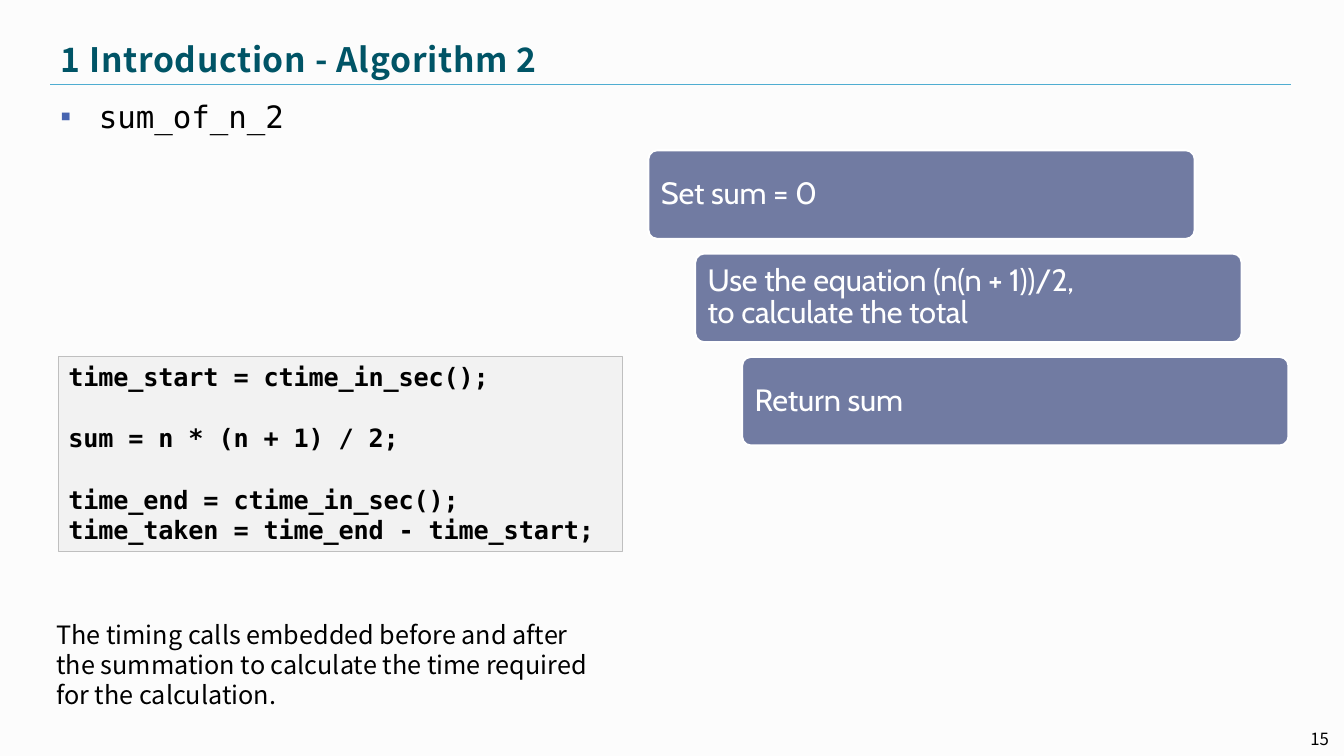
import pptx
import pptx.util
import pptx.dml.color
import pptx.enum.shapes
import pptx.enum.text
import lxml.etree

Inches, Pt = pptx.util.Inches, pptx.util.Pt
ALIGN = pptx.enum.text.PP_ALIGN
ANCHOR = pptx.enum.text.MSO_ANCHOR
SHAPE = pptx.enum.shapes.MSO_SHAPE
SANS, MONO = "Noto Sans CJK KR", "DejaVu Sans Mono"


def color(value):
    return pptx.dml.color.RGBColor.from_string(value)


def add_text(tf, text, *, size, font=SANS, fill="000000", bold=False, spacing=0,
             align=ALIGN.LEFT, before=0, line=None, anchor=ANCHOR.TOP, new=False):
    tf.word_wrap = True
    tf.auto_size = pptx.enum.text.MSO_AUTO_SIZE.NONE
    tf.vertical_anchor = anchor
    p = tf.add_paragraph() if new else tf.paragraphs[0]
    p.alignment = align
    p.space_before = Pt(before)
    if line:
        p.line_spacing = Pt(line)
    r = p.add_run()
    r.text = text
    r.font.name, r.font.size, r.font.bold = font, Pt(size), bold
    r.font.color.rgb = color(fill)
    rPr = r.font._element
    rPr.set("spc", str(round(spacing * 100)))
    ea = lxml.etree.SubElement(rPr, pptx.oxml.ns.qn("a:ea"))
    ea.set("typeface", font)
    return p


prs = pptx.Presentation()
prs.slide_width, prs.slide_height = Inches(13.33), Inches(7.5)
s = prs.slides.add_slide(prs.slide_layouts[1])
s.background.fill.solid()
s.background.fill.fore_color.rgb = color("FCFCFC")

# Title and rule
title, body = s.placeholders
title.left, title.top, title.width, title.height = map(Inches, (0.5, 0.34, 12.3, 0.5))
add_text(title.text_frame, "1 Introduction - Algorithm 2", size=24, fill="005466",
         bold=True, spacing=0.5, anchor=ANCHOR.MIDDLE)
rule = s.shapes.add_connector(pptx.enum.shapes.MSO_CONNECTOR.STRAIGHT,
                              Inches(0.5), Inches(0.84), Inches(12.8), Inches(0.84))
rule.line.color.rgb = color("4FADD1")
rule.line.width = Pt(0.25)
lxml.etree.SubElement(rule._element.spPr, pptx.oxml.ns.qn("a:effectLst"))

# Bulleted function name
body.left, body.top, body.width, body.height = map(Inches, (0.5, 0.92, 12.31, 6.19))
p = add_text(body.text_frame, "sum_of_n_2", size=22, font=MONO)
pPr = p._p.get_or_add_pPr()
pPr.set("marL", str(Inches(0.38)))
pPr.set("indent", str(-Inches(0.38)))
bullet_color = lxml.etree.SubElement(pPr, pptx.oxml.ns.qn("a:buClr"))
lxml.etree.SubElement(bullet_color, pptx.oxml.ns.qn("a:srgbClr")).set("val", "4764B0")
lxml.etree.SubElement(pPr, pptx.oxml.ns.qn("a:buChar")).set("char", "▪")

# Staggered step cards
steps = ["Set sum = 0", "Use the equation (n(n + 1))/2, to calculate the total", "Return sum"]
for i, step in enumerate(steps):
    card = s.shapes.add_shape(SHAPE.ROUNDED_RECTANGLE, Inches(6.43 + 0.465 * i),
                              Inches(1.49 + 1.025 * i), Inches(5.42), Inches(0.88))
    card.adjustments[0] = 0.1
    card.shadow.inherit = False
    card.fill.solid()
    card.fill.fore_color.rgb = color("717BA2")
    card.line.color.rgb = color("FFFFFF")
    card.line.width = Pt(1.5)
    tf = card.text_frame
    tf.margin_left, tf.margin_right = Inches(0.1), Inches(1.5)
    add_text(tf, step, size=22, font="Cabin", fill="FFFFFF", spacing=-0.1,
             line=23, anchor=ANCHOR.MIDDLE)

# Code box: each line with the space above it
code = [("time_start = ctime_in_sec();", 0), ("sum = n * (n + 1) / 2;", 21.5),
        ("time_end = ctime_in_sec();", 22.5), ("time_taken = time_end - time_start;", 0)]
box = s.shapes.add_shape(SHAPE.RECTANGLE, Inches(0.58), Inches(3.54), Inches(5.59), Inches(1.93))
box.shadow.inherit = False
box.fill.solid()
box.fill.fore_color.rgb = color("F2F2F2")
box.line.color.rgb = color("BFBFBF")
box.line.width = Pt(0.75)
for i, (text, before) in enumerate(code):
    add_text(box.text_frame, text, size=18, font=MONO, bold=True, spacing=-0.1,
             before=before, new=i > 0)

# Explanation and page number
note = s.shapes.add_textbox(Inches(0.46), Inches(6.09), Inches(5.71), Inches(1.01))
add_text(note.text_frame, "The timing calls embedded before and after the summation to "
         "calculate the time required for the calculation.", size=18)
page = s.shapes.add_textbox(Inches(12.11), Inches(7.13), Inches(1.17), Inches(0.4))
add_text(page.text_frame, "15", size=12, align=ALIGN.RIGHT, anchor=ANCHOR.MIDDLE)

prs.save("out.pptx")
